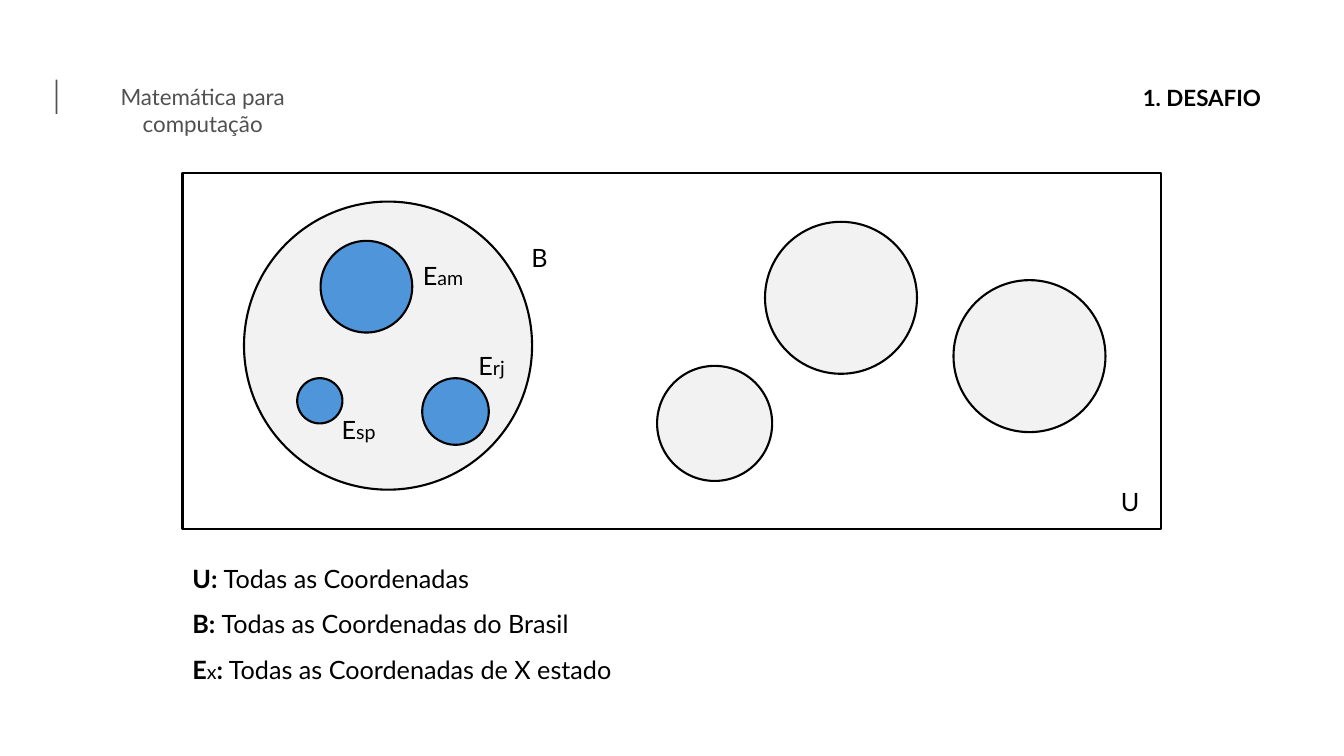
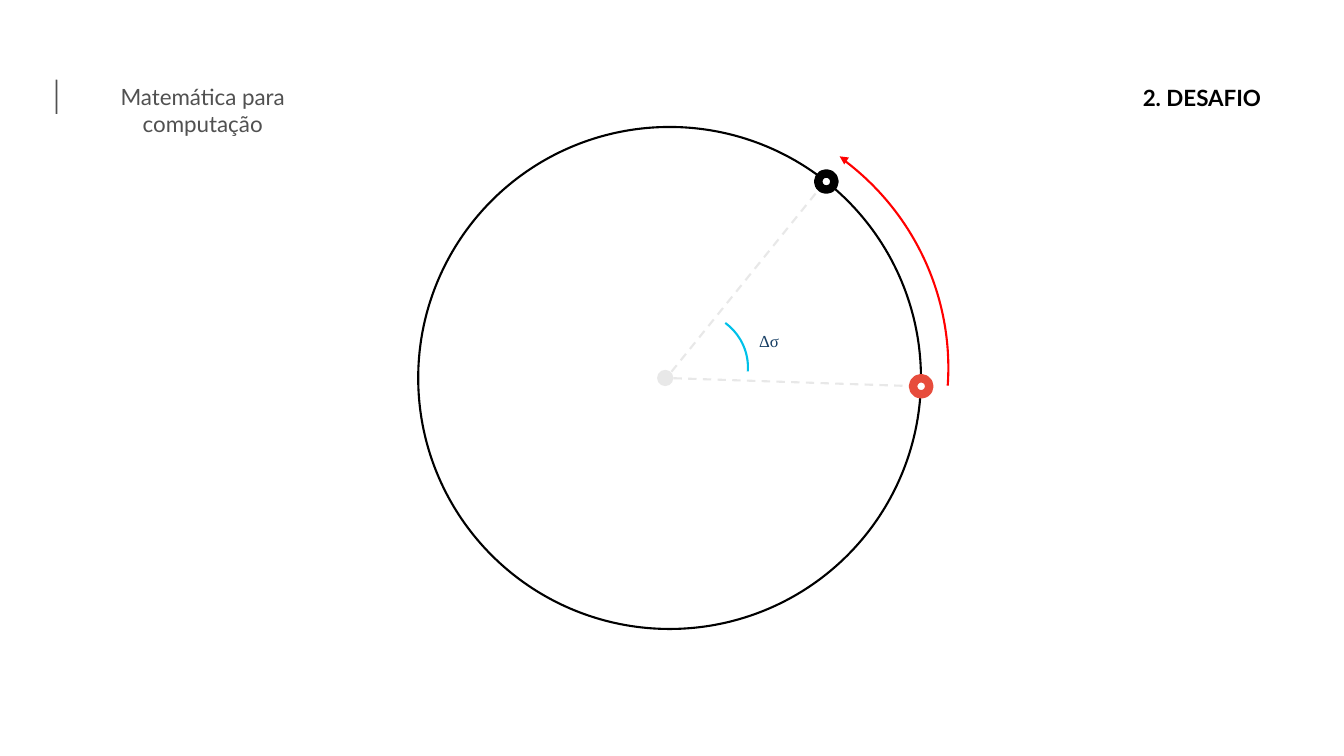
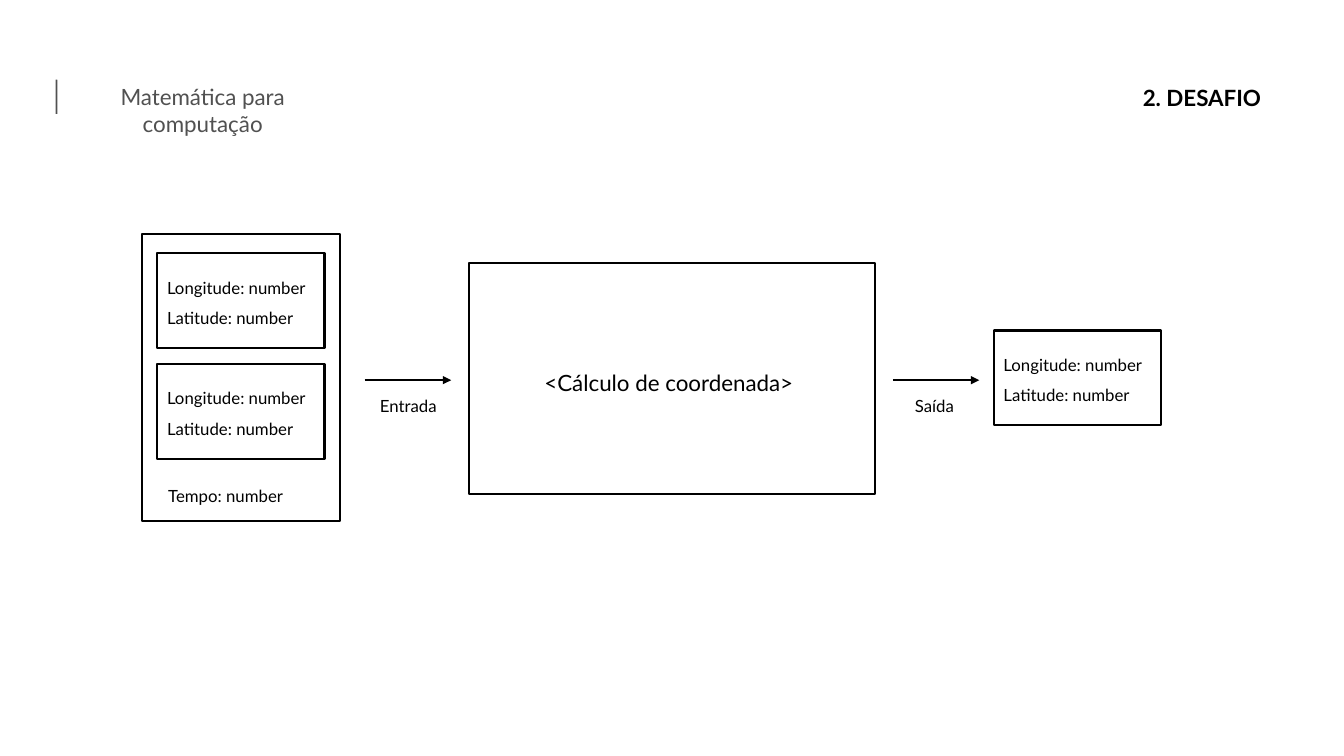
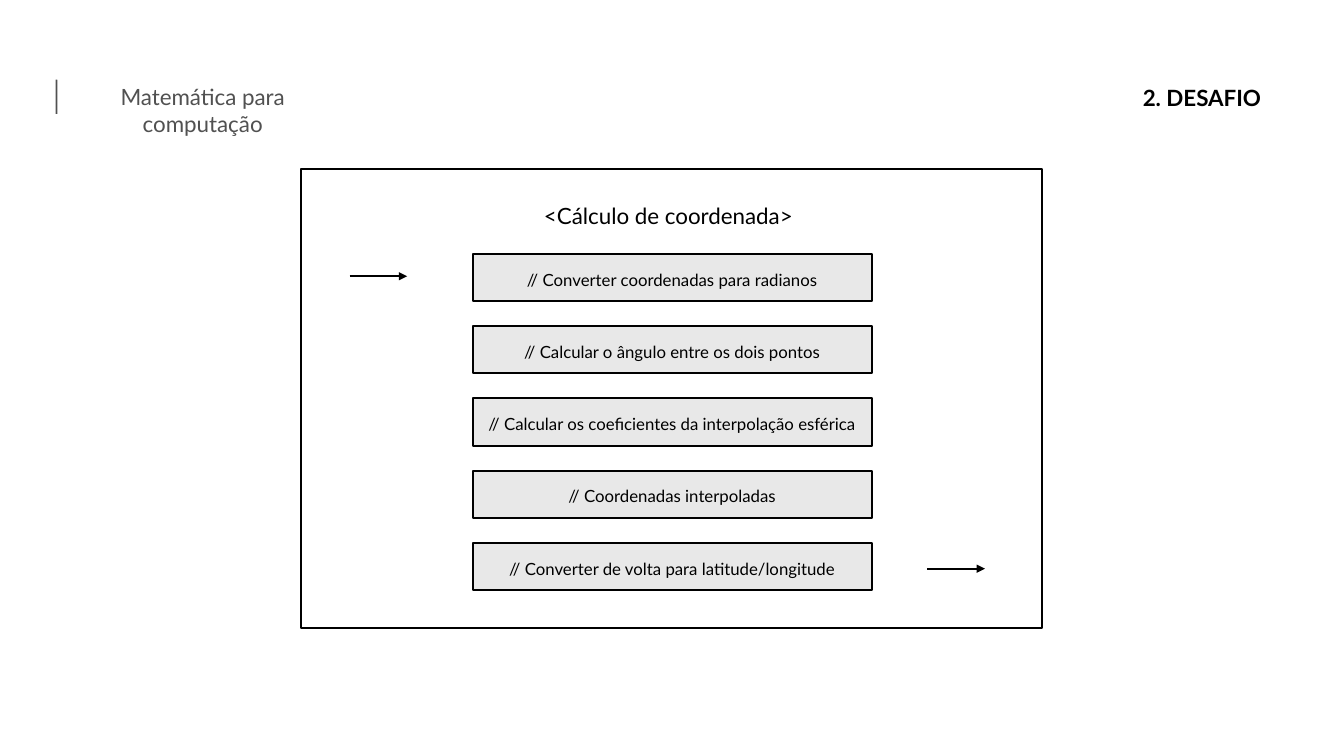
from lxml import etree
from pptx import Presentation
from pptx.dml.color import RGBColor
from pptx.enum import dml, shapes, text
from pptx.oxml.ns import qn
from pptx.util import Cm, Pt

BLACK = RGBColor(0x00, 0x00, 0x00)
WHITE = RGBColor(0xFF, 0xFF, 0xFF)
DARK_GREY = RGBColor(0x51, 0x51, 0x51)
LIGHT_GREY = RGBColor(0xE8, 0xE8, 0xE8)
SET_GREY = RGBColor(0xF2, 0xF2, 0xF2)
STATE_BLUE = RGBColor(0x4E, 0x95, 0xD9)
RED = RGBColor(0xFF, 0x00, 0x00)
POINT_RED = RGBColor(0xE7, 0x4C, 0x3C)
CYAN = RGBColor(0x00, 0xC1, 0xE9)
NAVY = RGBColor(0x16, 0x3E, 0x64)

KIND = shapes.MSO_SHAPE
ALIGN = text.PP_ALIGN
COURSE = "Matemática para computação"
CALCULATION = "<Cálculo de coordenada> "
COORDINATE = ["Longitude: number", "Latitude: number"]


class Deck:
    font = "Lato"
    line_width = 1.5

    def __init__(self):
        self.presentation = Presentation()
        self.presentation.slide_width = Cm(33.87)
        self.presentation.slide_height = Cm(19.05)
        self.slide = None

    def add_slide(self, title):
        layout = self.presentation.slide_layouts[6]
        self.slide = self.presentation.slides.add_slide(layout)
        self.text((1.4, 1.98, 7.42, 0.94), [COURSE], size=16,
                  color=DARK_GREY, spacing=None)
        self.shape((1.4, 2.01, 0.05, 0.86), KIND.ROUNDED_RECTANGLE,
                   fill=DARK_GREY, line=None)
        self.text((20.35, 1.65, 11.68, 1.19), [[(title, 16, True)]],
                  align=ALIGN.RIGHT)

    def set_paragraphs(self, frame, paragraphs, size=12, color=BLACK,
                       align=ALIGN.CENTER, spacing=1.5, font=None):
        """Each paragraph is a string or a list of (text, size, bold) runs."""
        frame.word_wrap = True
        for index, content in enumerate(paragraphs):
            paragraph = frame.paragraphs[0] if index == 0 else frame.add_paragraph()
            paragraph.alignment = align
            paragraph.line_spacing = spacing
            runs = [(content, size, False)] if isinstance(content, str) else content
            for words, points, bold in runs:
                run = paragraph.add_run()
                run.text = words
                values = {"name": font or self.font, "size": Pt(points), "bold": bold}
                for name, value in values.items():
                    setattr(run.font, name, value)
                run.font.color.rgb = color

    def text(self, box, paragraphs, **style):
        frame = self.slide.shapes.add_textbox(*map(Cm, box)).text_frame
        self.set_paragraphs(frame, paragraphs, **style)

    def shape(self, box, kind=KIND.RECTANGLE, fill=None, line=BLACK, width=None):
        shape = self.slide.shapes.add_shape(kind, *map(Cm, box))
        shape.shadow.inherit = False
        if fill is None:
            shape.fill.background()
        else:
            shape.fill.solid()
            shape.fill.fore_color.rgb = fill
        if line is None:
            shape.line.fill.background()
        else:
            shape.line.color.rgb = line
            shape.line.width = Pt(width or self.line_width)
        return shape

    def label_box(self, box, paragraphs, fill=None, **style):
        """Rectangle with its text slightly above the middle."""
        frame = self.shape(box, fill=fill).text_frame
        frame.vertical_anchor = text.MSO_ANCHOR.MIDDLE
        frame.margin_bottom = Cm(0.28)
        self.set_paragraphs(frame, paragraphs, **style)

    def circle(self, left, top, diameter, **style):
        self.shape((left, top, diameter, diameter), KIND.OVAL, **style)

    def arc(self, box, color, start=308.1, end=3.85):
        """Clockwise arc between two angles in degrees."""
        shape = self.shape(box, KIND.ARC, line=color)
        for index, degrees in enumerate((start, end)):
            shape.adjustments[index] = degrees * 0.6  # 60000 units per degree

    def line(self, start, end, color=BLACK, arrow=False, dashed=False):
        connector = self.slide.shapes.add_connector(
            shapes.MSO_CONNECTOR.STRAIGHT, *map(Cm, start + end))
        connector.line.color.rgb = color
        connector.line.width = Pt(self.line_width)
        if dashed:
            connector.line.dash_style = dml.MSO_LINE.DASH
        properties = connector.element.spPr
        if arrow:
            etree.SubElement(properties.find(qn("a:ln")), qn("a:tailEnd"),
                             type="triangle")
        etree.SubElement(properties, qn("a:effectLst"))


def add_sets(deck):
    deck.add_slide("1. DESAFIO")
    deck.shape((4.6, 4.37, 24.66, 8.97), fill=WHITE)
    deck.text((4.6, 13.69, 11.96, 3.61), [
        [("U: ", 18, True), ("Todas as Coordenadas", 18, False)],
        [("B: ", 18, True), ("Todas as Coordenadas do Brasil", 18, False)],
        [("E", 18, True), ("x", 14, False), (":", 18, True),
         (" Todas as Coordenadas de X estado", 18, False)],
    ], align=ALIGN.LEFT)
    for circle in ((6.15, 5.08, 7.26), (16.56, 9.22, 2.9),
                   (19.28, 5.59, 3.83), (24.03, 7.06, 3.83)):
        deck.circle(*circle, fill=SET_GREY)
    for circle in ((10.64, 9.53, 1.68), (8.08, 6.07, 2.31), (7.49, 9.53, 1.14)):
        deck.circle(*circle, fill=STATE_BLUE)
    for name, left, top in (("U ", 27.86, 11.76), ("B ", 12.98, 5.59)):
        deck.text((left, top, 1.4, 1.3), [name], size=18)
    for state, left, top in (("rj", 11.53, 8.33), ("sp", 8.18, 9.93),
                             ("am", 10.31, 6.05)):
        deck.text((left, top, 1.88, 1.3),
                  [[("E", 18, False), (state, 14, False), (" ", 18, False)]])


def add_angle(deck):
    deck.add_slide("2. DESAFIO")
    deck.shape((10.54, 3.2, 12.67, 12.65), KIND.OVAL)
    deck.arc((10.54, 2.69, 13.36, 13.16), RED)
    deck.line((21.31, 4.04), (21.16, 3.94), RED, arrow=True)
    deck.circle(16.56, 9.32, 0.41, fill=LIGHT_GREY, line=None)
    deck.line((16.92, 9.37), (20.68, 4.72), LIGHT_GREY, dashed=True)
    deck.line((16.97, 9.53), (23.01, 9.73), LIGHT_GREY, dashed=True)
    deck.circle(20.62, 4.37, 0.41, fill=WHITE, line=BLACK, width=6)
    deck.circle(23.01, 9.53, 0.41, fill=WHITE, line=POINT_RED, width=6)
    deck.arc((15.95, 7.85, 2.9, 2.82), CYAN)
    deck.text((17.88, 7.95, 3, 0.94), ["Δσ"], color=NAVY, font="Times New Roman")


def add_input_output(deck):
    deck.add_slide("2. DESAFIO")
    deck.shape((3.58, 5.89, 4.98, 7.24))
    for left, top in ((3.96, 6.38), (3.96, 9.17), (25.04, 8.33)):
        deck.label_box((left, top, 4.22, 2.39), COORDINATE, align=ALIGN.LEFT)
    deck.text((3.99, 11.86, 4.19, 0.94), ["Tempo: number"], align=ALIGN.LEFT)
    deck.label_box((11.81, 6.63, 10.24, 5.82), [CALCULATION], size=16)
    for name, start, label_left in (("Entrada", 9.19, 8.79), ("Saída", 22.5, 22.05)):
        deck.line((start, 9.58), (start + 2.18, 9.58), arrow=True)
        deck.text((label_left, 9.59, 3, 0.94), [name])


def add_steps(deck):
    deck.add_slide("2. DESAFIO")
    deck.shape((7.59, 4.27, 18.67, 11.56))
    deck.text((11.79, 4.62, 10.26, 1.19), [CALCULATION], size=16)
    steps = ("// Converter coordenadas para radianos",
             "// Calcular o ângulo entre os dois pontos",
             "// Calcular os coeficientes da interpolação esférica",
             "// Coordenadas interpoladas",
             "// Converter de volta para latitude/longitude")
    for index, step in enumerate(steps):
        deck.label_box((11.91, 6.4 + 1.82 * index, 10.06, 1.19), [step],
                       fill=LIGHT_GREY)
    for left, top in ((8.81, 6.96), (23.37, 14.33)):
        deck.line((left, top), (left + 1.45, top), arrow=True)


def main():
    deck = Deck()
    for add_content in (add_sets, add_angle, add_input_output, add_steps):
        add_content(deck)
    deck.presentation.save("out.pptx")


if __name__ == "__main__":
    main()
